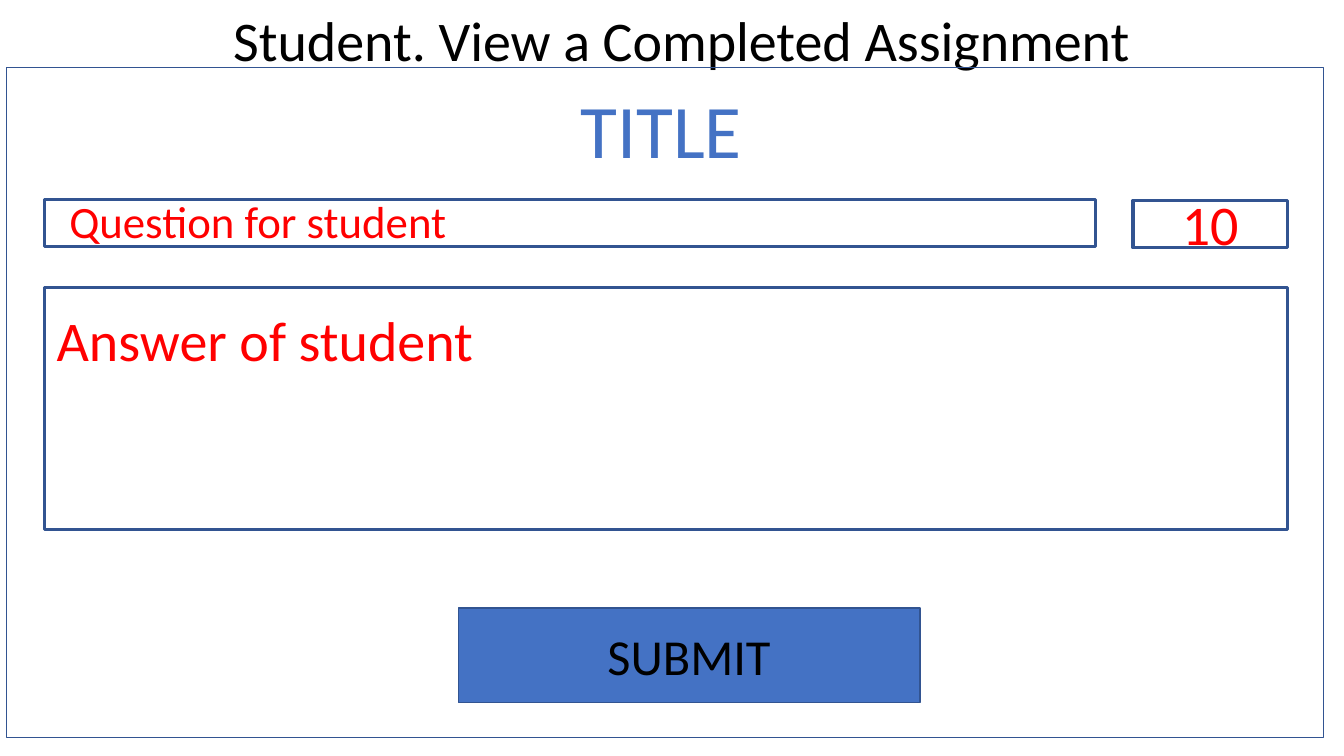
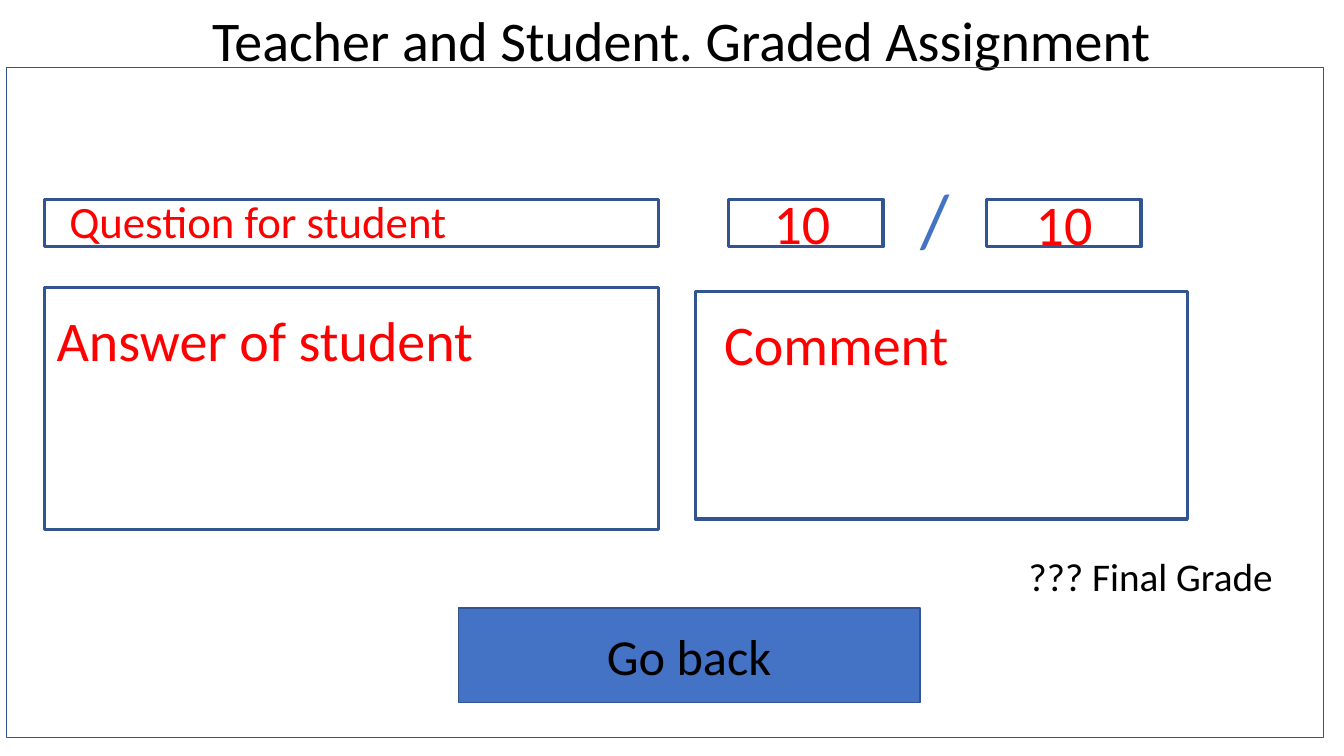
"""Build two wireframe slides: a completed assignment and a graded assignment."""
from dataclasses import dataclass

from pptx import Presentation
from pptx.dml.color import RGBColor
from pptx.enum.shapes import MSO_SHAPE
from pptx.enum.text import MSO_ANCHOR, MSO_AUTO_SIZE, PP_ALIGN
from pptx.util import Inches, Pt


@dataclass(frozen=True)
class Theme:
    font: str = "Calibri"
    ink: RGBColor = RGBColor(0x00, 0x00, 0x00)
    accent: RGBColor = RGBColor(0x44, 0x72, 0xC4)
    outline: RGBColor = RGBColor(0x32, 0x54, 0x91)
    sample: RGBColor = RGBColor(0xFF, 0x00, 0x00)
    display: int = 54
    heading: int = 40
    button: int = 36
    question: int = 32
    note: int = 28
    thin: float = 1
    thick: float = 2.25


theme = Theme()
deck = Presentation()
deck.slide_width, deck.slide_height = Inches(13.33), Inches(7.5)


def write(box, text, size, color, anchor=MSO_ANCHOR.TOP, wrap=False):
    """Put one centred line of text into a shape."""
    frame = box.text_frame
    frame.text = text
    frame.auto_size = MSO_AUTO_SIZE.NONE
    frame.word_wrap = wrap
    frame.vertical_anchor = anchor
    para = frame.paragraphs[0]
    para.alignment = PP_ALIGN.CENTER
    font = para.runs[0].font
    font.name, font.size, font.color.rgb = theme.font, Pt(size), color


def area(left, top, width, height):
    """Turn percentages of the slide into a position and size."""
    across, down = deck.slide_width / 100, deck.slide_height / 100
    return [round(length) for length in (left * across, top * down, width * across, height * down)]


MARGIN = 3.3
QUESTION_TOP, QUESTION_HEIGHT = 26.4, 6.27
ANSWER_TOP, ANSWER_HEIGHT = 38, 32
SCORE_WIDTH = 11.5
LINE_HEIGHT, DISPLAY_HEIGHT = 10.27, 13.47

frame_area = (0.5, 8.93, 98, 88.67)
button_area = (34.1, 80.4, 34.35, 12.53)
shared_labels = [
    ("Answer of student", (MARGIN, 39.73, 32.8, LINE_HEIGHT), theme.heading, theme.sample),
    ("Question for student", (4.27, 24.93, 29.85, 8.53), theme.question, theme.sample),
]

pages = [
    {
        "title": "Student. View a Completed Assignment",
        "question_width": 78.2,
        "answer_width": 92.5,
        "fields": [(84.3, 26.53, SCORE_WIDTH, QUESTION_HEIGHT)],
        "labels": [
            ("10", (87.15, 24.4, 5.8, LINE_HEIGHT), theme.heading, theme.sample),
            ("TITLE", (42.38, 10.27, 13.65, DISPLAY_HEIGHT), theme.display, theme.accent),
        ],
        "button": "SUBMIT",
    },
    {
        "title": "Teacher and Student. Graded Assignment",
        "question_width": 45.7,
        "answer_width": 45.7,
        "fields": [
            (54.2, QUESTION_TOP, SCORE_WIDTH, QUESTION_HEIGHT),
            (73.4, QUESTION_TOP, SCORE_WIDTH, QUESTION_HEIGHT),
            (51.75, 38.53, 36.6, 30.13),
        ],
        "labels": [
            ("10", (56.77, 24.27, 5.8, LINE_HEIGHT), theme.heading, theme.sample),
            ("/", (67.73, 22.13, 3.68, DISPLAY_HEIGHT), theme.display, theme.accent),
            ("10", (76.27, 24.4, 5.8, LINE_HEIGHT), theme.heading, theme.sample),
            ("Comment", (53.03, 40.27, 18.38, LINE_HEIGHT), theme.heading, theme.sample),
            ("??? Final Grade", (75.67, 72.4, 19.88, 7.6), theme.note, theme.ink),
        ],
        "button": "Go back",
    },
]

for page in pages:
    slide = deck.slides.add_slide(deck.slide_layouts.get_by_name("Title Only"))
    title = slide.shapes.title
    title.left, title.top, title.width, title.height = area(13.2, 0, 75, LINE_HEIGHT)
    write(title, page["title"], theme.heading, theme.ink, wrap=True)

    fields = [
        (MARGIN, QUESTION_TOP, page["question_width"], QUESTION_HEIGHT),
        (MARGIN, ANSWER_TOP, page["answer_width"], ANSWER_HEIGHT),
        *page["fields"],
    ]
    outlines = [(frame_area, theme.thin), *((field, theme.thick) for field in fields), (button_area, theme.thin)]
    for place, weight in outlines:
        box = slide.shapes.add_shape(MSO_SHAPE.RECTANGLE, *area(*place))
        box.shadow.inherit = False
        box.line.color.rgb, box.line.width = theme.outline, Pt(weight)
        if place == button_area:
            box.fill.solid()
            box.fill.fore_color.rgb = theme.accent
            write(box, page["button"], theme.button, theme.ink, MSO_ANCHOR.MIDDLE, wrap=True)
        else:
            box.fill.background()

    for text, place, size, color in shared_labels + page["labels"]:
        label = slide.shapes.add_textbox(*area(*place))
        write(label, text, size, color)

deck.save("out.pptx")
